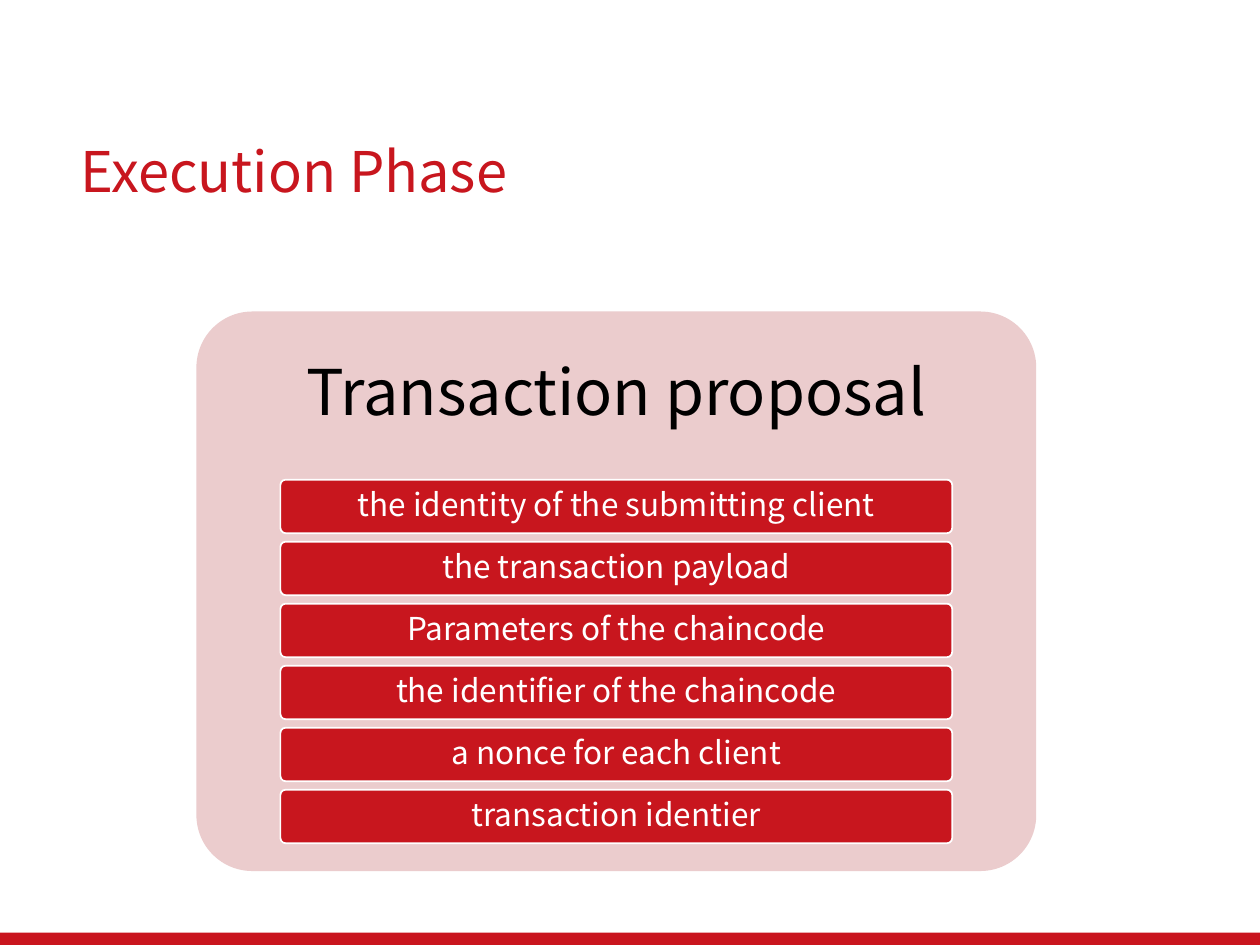
from dataclasses import dataclass

from pptx import Presentation
from pptx.dml.color import RGBColor as RGB
from pptx.enum.shapes import MSO_SHAPE as SHAPE
from pptx.enum.text import MSO_ANCHOR as ANCHOR, PP_ALIGN as ALIGN
from pptx.util import Cm, Pt


@dataclass(frozen=True)
class Theme:
    """Colours, font and type sizes of the slide."""
    font: str = "Noto Sans CJK SC"
    red: str = "C8161E"
    band: str = "C9151E"
    pink: str = "EBCCCD"
    white: str = "FFFFFF"
    black: str = "000000"
    title: int = 32
    heading: int = 36
    item: int = 18


THEME = Theme()
ITEMS = [
    "the identity of the submitting client",
    "the transaction payload",
    "Parameters of the chaincode",
    "the identifier of the chaincode",
    "a nonce for each client",
    "transaction identier",
]


def write(sp, text, size, color, align, inset_x, inset_y):
    """Put one vertically centred paragraph in a shape."""
    tf = sp.text_frame
    tf.word_wrap = True
    tf.vertical_anchor = ANCHOR.MIDDLE
    tf.margin_left = tf.margin_right = Cm(inset_x)
    tf.margin_top = tf.margin_bottom = Cm(inset_y)
    p = tf.paragraphs[0]
    p.text = text
    p.alignment = align
    p.line_spacing = 0.9
    p.font.name = THEME.font
    p.font.size = Pt(size)
    p.font.color.rgb = RGB.from_string(color)


def add_box(s, kind, left, top, width, height, fill, line=None):
    """Add a flat filled shape, outlined if a line colour is given."""
    sp = s.shapes.add_shape(kind, Cm(left), Cm(top), Cm(width), Cm(height))
    sp.shadow.inherit = False
    sp.fill.solid()
    sp.fill.fore_color.rgb = RGB.from_string(fill)
    if line:
        sp.line.color.rgb = RGB.from_string(line)
        sp.line.width = Pt(1)
    else:
        sp.line.fill.background()
    if kind == SHAPE.ROUNDED_RECTANGLE:
        sp.adjustments[0] = 0.1
    return sp


def set_title(s, text):
    """Place and format the slide title."""
    sp = s.shapes.title
    sp.left, sp.top, sp.width, sp.height = Cm(1.37), Cm(2.72), Cm(23.27), Cm(1.6)
    write(sp, text, THEME.title, THEME.red, ALIGN.LEFT, 0.25, 0.13)


def add_panel(s, heading, items):
    """Add a headed panel with a stack of evenly spaced items."""
    left, top, width, height = 3.96, 6.28, 16.93, 11.28
    add_box(s, SHAPE.ROUNDED_RECTANGLE, left, top, width, height, THEME.pink)
    head = s.shapes.add_textbox(Cm(left), Cm(top), Cm(width), Cm(0.3 * height))
    write(head, heading, THEME.heading, THEME.black, ALIGN.CENTER, 0.38, 0.38)
    for i, item in enumerate(items):
        sp = add_box(s, SHAPE.ROUNDED_RECTANGLE, left + 0.1 * width, 9.67 + 1.25 * i,
                     0.8 * width, 1.08, THEME.red, THEME.white)
        write(sp, item, THEME.item, THEME.white, ALIGN.CENTER, 0.13, 0.1)


def main():
    """Build and save the slide."""
    prs = Presentation()
    prs.slide_width, prs.slide_height = Cm(25.4), Cm(19.05)
    s = prs.slides.add_slide(prs.slide_layouts[5])
    add_box(s, SHAPE.RECTANGLE, 0, 18.8, 25.4, 0.25, THEME.band)
    set_title(s, "Execution Phase")
    add_panel(s, "Transaction proposal", ITEMS)
    prs.save("out.pptx")


if __name__ == "__main__":
    main()
